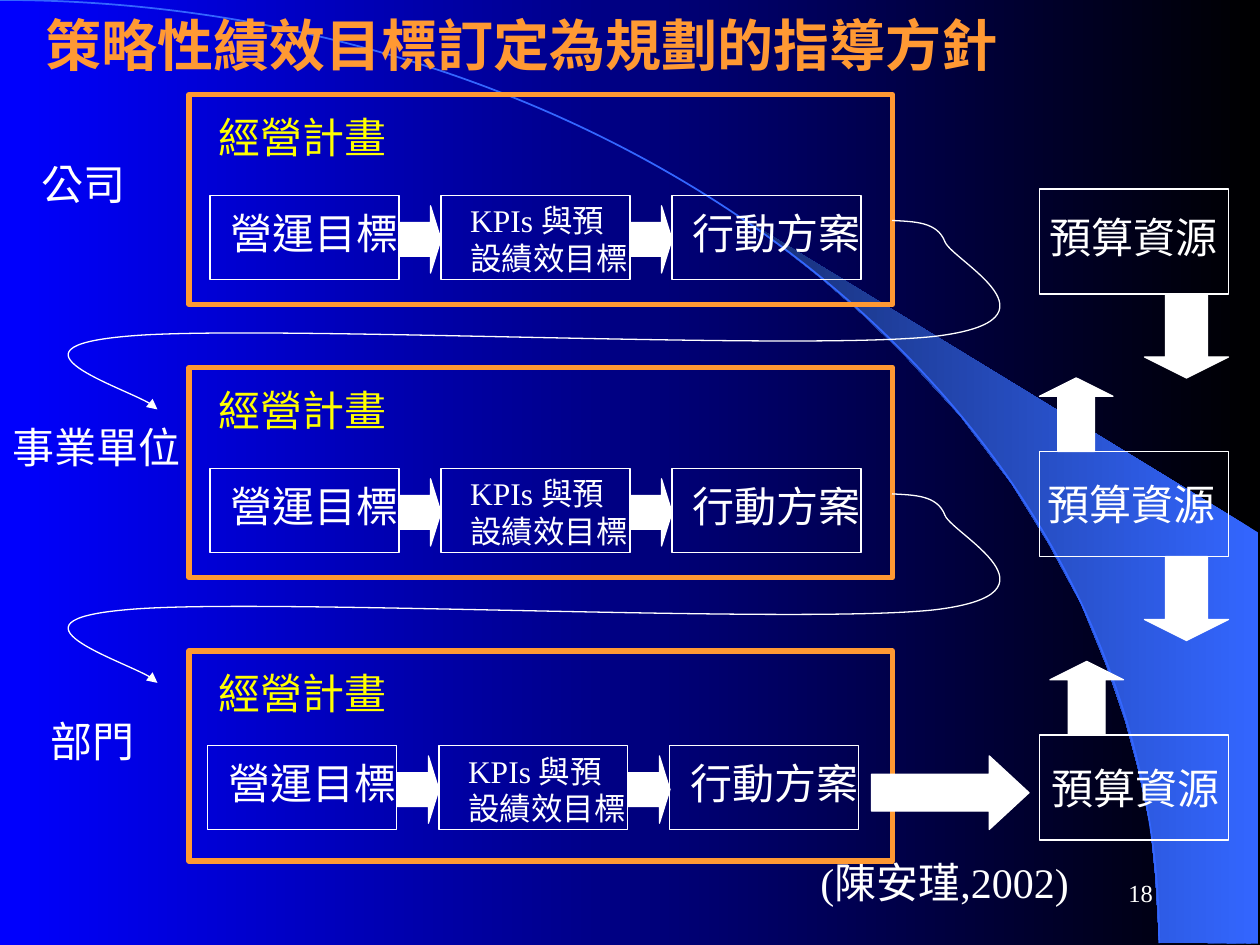
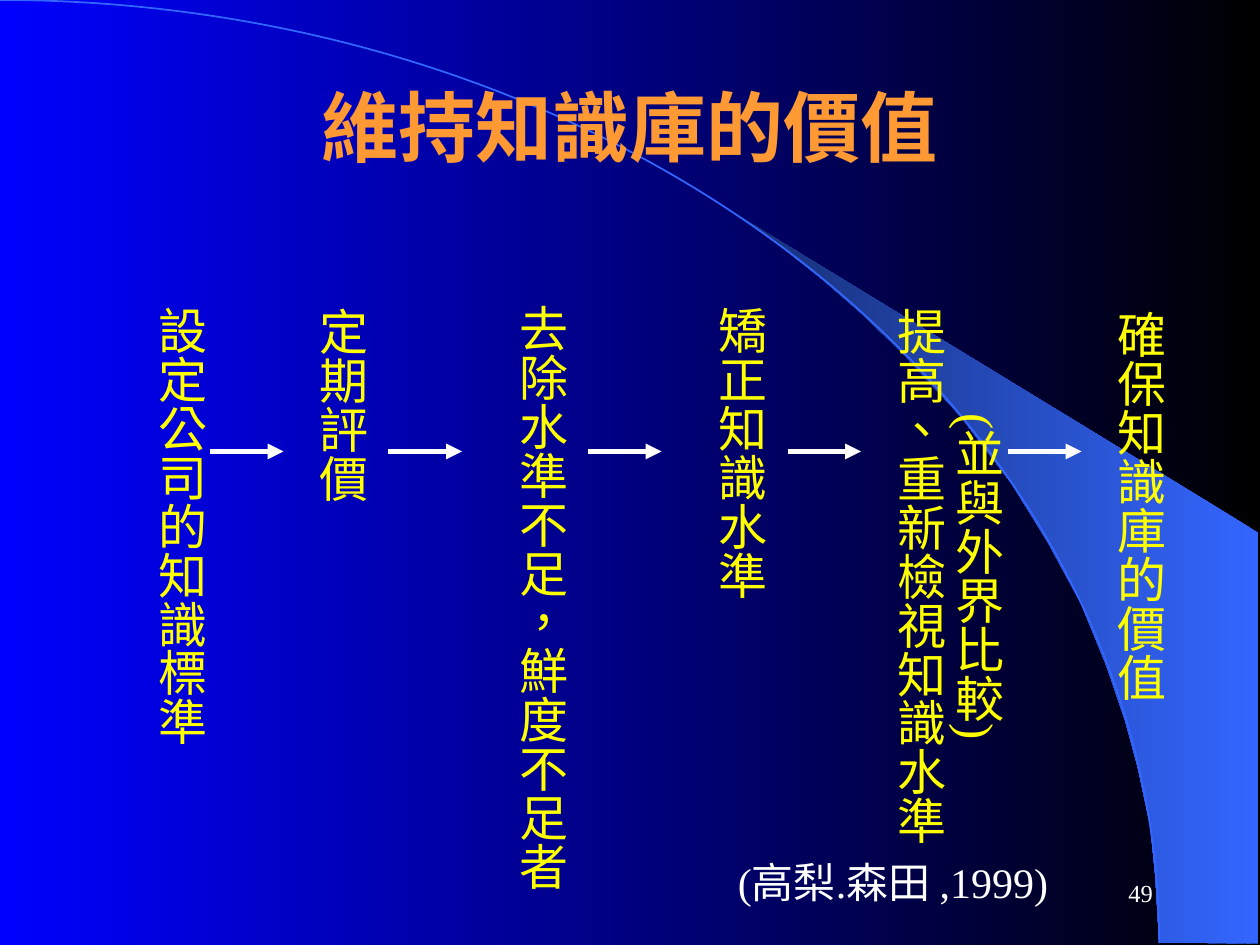
from lxml import etree
from pptx import Presentation
from pptx import util as u
from pptx.dml.color import RGBColor
from pptx.enum import shapes, text
from pptx.oxml.ns import qn

WHITE, YELLOW, ORANGE, BLUE = "FFFFFF", "FFFF00", "FF9933", "3366FF"
NAVY, BLACK, PURE_BLUE = "172F75", "000000", "0000FF"
CELL = u.Inches(10) // 120
HUNDREDTH = u.Inches(1) // 100
SERIF = "Times New Roman"
color = RGBColor.from_string
kinds = shapes.MSO_SHAPE
LEFT, CENTER, RIGHT = text.PP_ALIGN.LEFT, text.PP_ALIGN.CENTER, text.PP_ALIGN.RIGHT


def paint(item, fill=None, line=None, width=0.75, arrow=False):
    if hasattr(item, "fill"):
        if fill:
            item.fill.solid()
            item.fill.fore_color.rgb = color(fill)
        else:
            item.fill.background()
    if line:
        item.line.color.rgb = color(line)
        item.line.width = u.Pt(width)
    else:
        item.line.fill.background()
    if arrow:
        etree.SubElement(item.element.spPr.find(qn("a:ln")), qn("a:tailEnd"), type="triangle")
    etree.SubElement(item.element.spPr, qn("a:effectLst"))


def label(slide, box, lines, size=24, tint=WHITE, align=LEFT, wrap=False,
          vertical=False, bold=False, face=SERIF):
    frame = slide.shapes.add_textbox(*(round(CELL * v) for v in box)).text_frame
    fitting = text.MSO_AUTO_SIZE.NONE if wrap else text.MSO_AUTO_SIZE.SHAPE_TO_FIT_TEXT
    anchor = text.MSO_ANCHOR.MIDDLE if wrap else text.MSO_ANCHOR.TOP
    if vertical:
        frame._txBody.bodyPr.set("vert", "eaVert")
    layout = {"word_wrap": wrap, "auto_size": fitting, "vertical_anchor": anchor}
    for key, value in layout.items():
        setattr(frame, key, value)
    frame.text = lines
    for paragraph in frame.paragraphs:
        paragraph.alignment = align
        for run in paragraph.runs:
            run._r.get_or_add_rPr().set("lang", "zh-TW")
            run.font.color.rgb = color(tint)
            for key, value in {"size": u.Pt(size), "name": face, "bold": bold}.items():
                setattr(run.font, key, value)


deck = Presentation()
deck.slide_width, deck.slide_height = 120 * CELL, 90 * CELL
planning, knowledge = (deck.slides.add_slide(deck.slide_layouts[6]) for _ in range(2))

wedge_points = [
    (999, 749), (999, 423), (589, 173), (624, 199), (653, 222), (685, 250),
    (716, 280), (762, 330), (803, 384), (832, 431), (858, 479), (878, 528),
    (893, 572), (903, 609), (913, 656), (917, 696), (920, 748),
]
for slide, number in ((planning, "18"), (knowledge, "49")):
    outline = slide.shapes.build_freeform(920, 748, HUNDREDTH)
    outline.add_line_segments(wedge_points)
    wedge = outline.convert_to_shape()
    paint(wedge)
    for surface, ramp in ((slide.background.fill, (BLACK, PURE_BLUE)), (wedge.fill, (BLUE, NAVY))):
        surface.gradient()
        surface.gradient_angle = 180
        for stop, tint in zip(surface.gradient_stops, ramp):
            stop.color.rgb = color(tint)
    horizon = slide.shapes.add_shape(
        kinds.ARC, u.Inches(-9.2), 0, u.Inches(18.4), u.Inches(14.97))
    paint(horizon, line=BLUE, width=1)
    label(slide, (86, 82, 25, 6), number, 14, align=RIGHT, wrap=True)

label(planning, (3.15, 0.4, 94, 7.7), "策略性績效目標訂定為規劃的指導方針", 32, ORANGE, bold=True)
label(planning, (76.95, 81, 28.2, 6), "(陳安瑾,2002)")

levels = [
    ("公司", 2.8, 14.5, 9, 20, 18.6, 18, (98.8, 19.6)),
    ("事業單位", 0, 39.6, 35, 20, 44.6, 43, (98.6, 45)),
    ("部門", 3.6, 67.6, 62, 19.8, 71, 70, (99, 72)),
]
step_width, step_height, gap = 18, 8, 4
steps = [("營運目標", 0.8, 0.6, 24), ("KPIs 與預\n設績效目標", 1.6, 0, 18), ("行動方案", 0.8, 0.6, 24)]
blocks = []
for level, name_left, name_top, plan_top, first_step, step_top, budget_top, budget_text in levels:
    blocks.append((kinds.RECTANGLE, (18, plan_top, 67, 20), None, ORANGE, 3))
    label(planning, (19.6, plan_top + 1, 18.5, 6), "經營計畫", tint=YELLOW)
    label(planning, (name_left, name_top, 2.5 + 4 * len(level), 6), level)
    for index, (step, indent, drop, size) in enumerate(steps):
        left = first_step + index * (step_width + gap)
        blocks.append((kinds.RECTANGLE, (left, step_top, step_width, step_height), None, WHITE, 0.75))
        if index:
            blocks.append((kinds.RIGHT_ARROW, (left - gap, step_top + 1, gap, 6.4), WHITE, WHITE, 0.75))
        label(planning, (left + indent, step_top + drop, 18.5, 6), step, size)
    blocks.append((kinds.RECTANGLE, (99, budget_top, 18, 10), None, WHITE, 0.75))
    label(planning, (*budget_text, 18.5, 6), "預算資源")

budget_flows = [
    (kinds.RIGHT_ARROW, (83, 72, 15, 7)),
    (kinds.UP_ARROW, (100, 63, 7, 7)),
    (kinds.UP_ARROW, (99, 36, 7, 7)),
    (kinds.DOWN_ARROW, (109, 28, 8, 8)),
    (kinds.DOWN_ARROW, (109, 53, 8, 8)),
]
blocks += [(kind, box, WHITE, WHITE, 0.75) for kind, box in budget_flows]
for kind, box, fill, line, width in blocks:
    block = planning.shapes.add_shape(kind, *(round(CELL * v) for v in box))
    paint(block, fill, line, width)
    if kind != kinds.RECTANGLE:
        block.adjustments[0] = 0.5
        block.adjustments[1] = 0.54 if box[2] == 15 else 0.25

cascade = [
    (726, 176), (744, 176), (750, 192), (756, 207), (850, 254), (742, 267),
    (633, 279), (203, 257), (100, 267), (-3, 276), (121, 315), (125, 325),
]
for shift in (0, 217):
    outline = planning.shapes.build_freeform(708, 175 + shift, HUNDREDTH)
    outline.add_line_segments([(x, y + shift) for x, y in cascade], close=False)
    flow = outline.convert_to_shape()
    route = next(flow.element.iter(qn("a:path")))
    segments = route.findall(qn("a:lnTo"))
    for start in range(0, len(segments), 3):
        curve = etree.SubElement(route, qn("a:cubicBezTo"))
        for segment in segments[start:start + 3]:
            curve.append(segment[0])
            route.remove(segment)
    paint(flow, line=WHITE, arrow=True)

label(knowledge, (9, 6.5, 102, 11), "維持知識庫的價值", 44, ORANGE, CENTER,
      wrap=True, bold=True, face="Arial")
label(knowledge, (66.6, 81, 36.9, 6), "(高梨.森田 ,1999)", align=CENTER)
stages = [
    (12.8, 28, "設定公司的知識標準"),
    (28.1, 28.1, "定期評價"),
    (47.1, 27.8, "去除水準不足，鮮度不足者"),
    (66.1, 28, "矯正知識水準"),
    (83, 28.1, "(並與外界比較)\n提高、重新檢視知識水準"),
    (104.1, 28.4, "確保知識庫的價值"),
]
for left, top, stage in stages:
    columns = stage.split("\n")
    height = 1.3 + 4.67 * max(map(len, columns))
    label(knowledge, (left, top, 2.2 + 5.7 * len(columns), height), stage, 28, YELLOW,
          CENTER, vertical=True)
for left in (20, 37, 56, 75, 96):
    link = knowledge.shapes.add_connector(
        shapes.MSO_CONNECTOR.STRAIGHT, left * CELL, 43 * CELL, (left + 7) * CELL, 43 * CELL)
    paint(link, line=WHITE, width=3, arrow=True)

deck.save("out.pptx")
